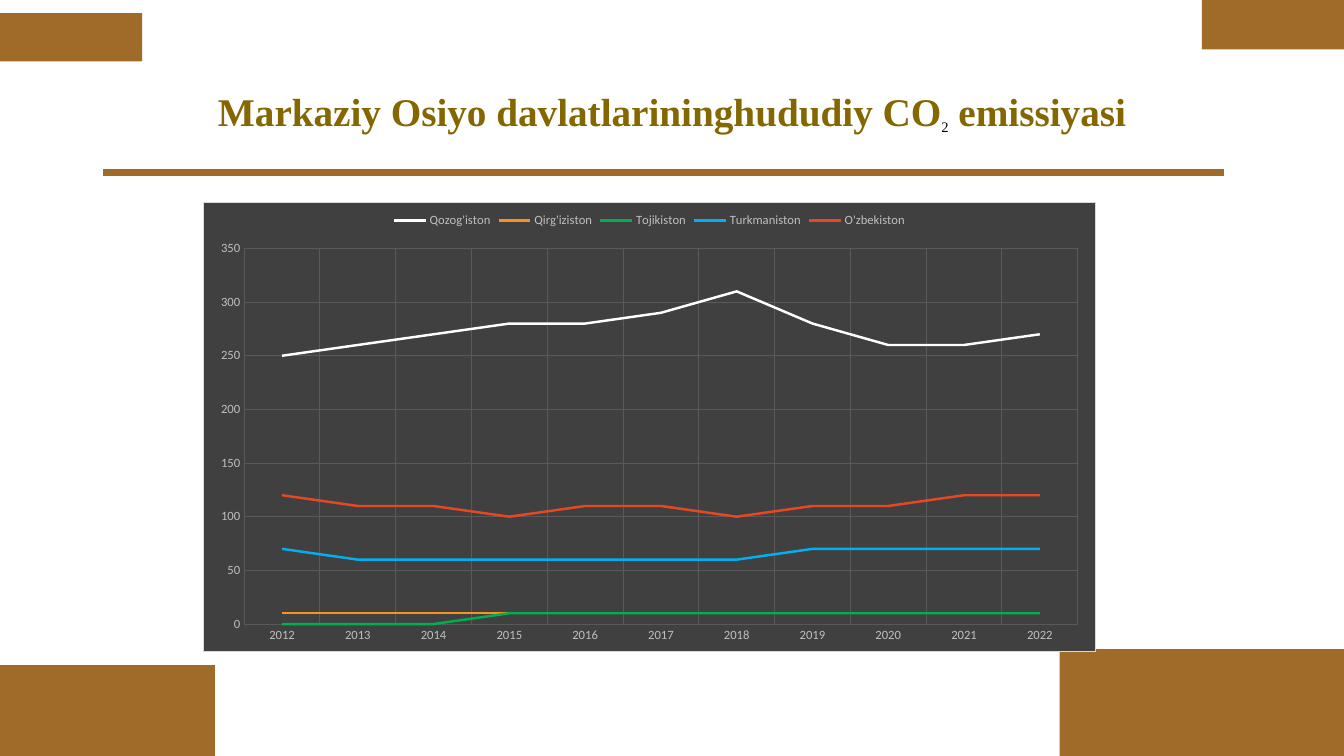
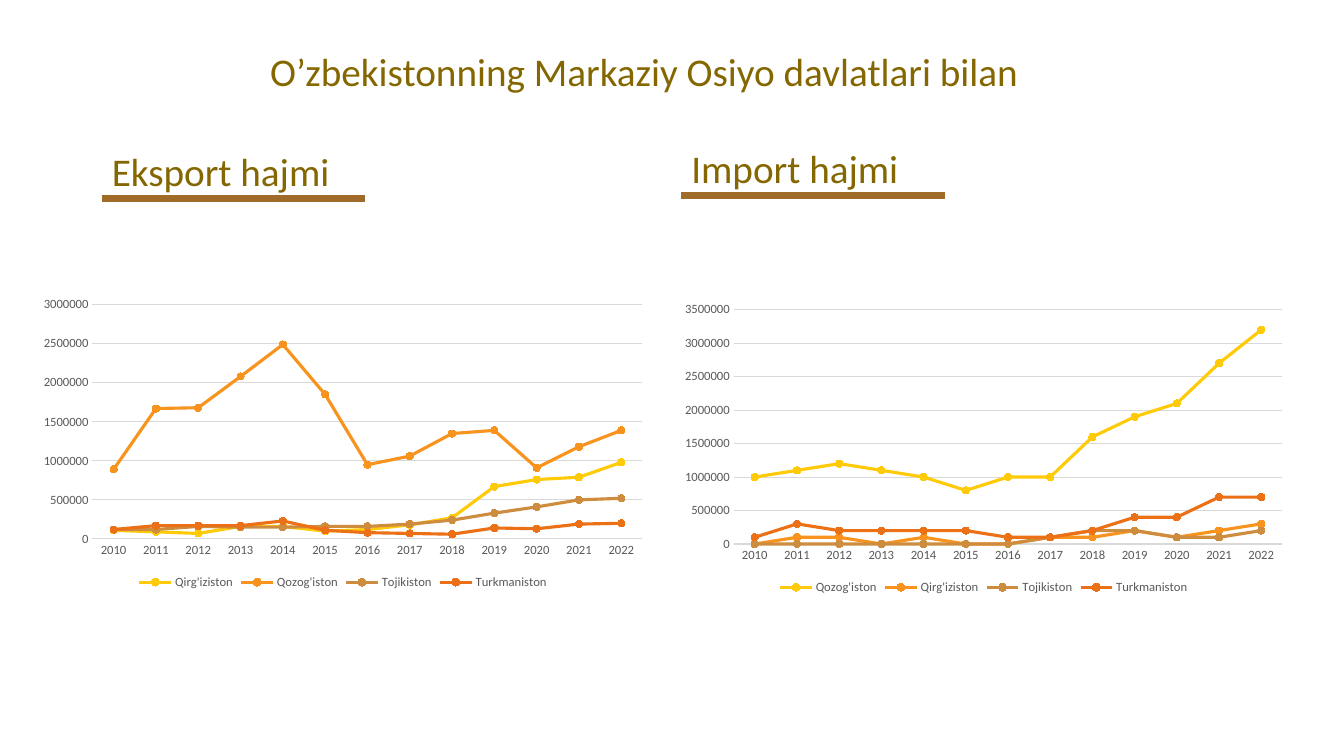
from lxml.etree import SubElement
from pptx import Presentation
from pptx.chart.data import CategoryChartData
from pptx.dml.color import RGBColor
from pptx.enum.chart import XL_CHART_TYPE, XL_LEGEND_POSITION, XL_MARKER_STYLE, XL_TICK_MARK
from pptx.enum.shapes import MSO_CONNECTOR, MSO_SHAPE
from pptx.enum.text import MSO_ANCHOR, PP_ALIGN
from pptx.oxml import parse_xml
from pptx.oxml.ns import nsdecls, qn
from pptx.util import Inches, Pt

WIDTH, HEIGHT = Inches(13.33), Inches(7.5)
BROWN, OLIVE, BLACK = "A06A29", "846700", "000000"
SANS, SERIF = "Calibri", "Times New Roman"

# Chart looks
DARK = {"text": "BFBFBF", "grid": "595959", "axis": None, "fill": "404040",
        "border": "D9D9D9", "legend": XL_LEGEND_POSITION.TOP,
        "kind": XL_CHART_TYPE.LINE, "width": 1.75, "upright_grid": True,
        "series": ["FFFFFF", "F8931D", "00B050", "00B0F0", "E64823"]}
LIGHT = {"text": "595959", "grid": "D9D9D9", "axis": "D9D9D9", "fill": None,
         "border": None, "legend": XL_LEGEND_POSITION.BOTTOM,
         "kind": XL_CHART_TYPE.LINE_MARKERS, "width": 2.25, "upright_grid": False,
         "series": ["FFCA08", "F8931D", "CE8D3E", "EC7016"]}

# Chart data: emissions in units, trade in thousands
EMISSIONS = {
    "Qozog'iston": [250, 260, 270, 280, 280, 290, 310, 280, 260, 260, 270],
    "Qirg'iziston": [10] * 11,
    "Tojikiston": [0] * 3 + [10] * 8,
    "Turkmaniston": [70, 60, 60, 60, 60, 60, 60, 70, 70, 70, 70],
    "O'zbekiston": [120, 110, 110, 100, 110, 110, 100, 110, 110, 120, 120],
}
EXPORTS = {
    "Qirg'iziston": [110, 90, 70, 160, 160, 100, 120, 180, 270, 670, 760, 790, 980],
    "Qozog'iston": [890, 1670, 1680, 2080, 2490, 1850, 950, 1060, 1350, 1390, 910,
                    1180, 1390],
    "Tojikiston": [120, 120, 160, 150, 150, 160, 160, 190, 240, 330, 410, 500, 520],
    "Turkmaniston": [120, 170, 170, 170, 230, 110, 80, 70, 60, 140, 130, 190, 200],
}
IMPORTS = {
    "Qozog'iston": [1000, 1100, 1200, 1100, 1000, 800, 1000, 1000, 1600, 1900, 2100,
                    2700, 3200],
    "Qirg'iziston": [0, 100, 100, 0, 100, 0, 0, 100, 100, 200, 100, 200, 300],
    "Tojikiston": [0, 0, 0, 0, 0, 0, 0, 100, 200, 200, 100, 100, 200],
    "Turkmaniston": [100, 300, 200, 200, 200, 200, 100, 100, 200, 400, 400, 700, 700],
}


def colour(value):
    return RGBColor.from_string(value)


def across(percent):
    return round(WIDTH * percent / 100)


def down(percent):
    return round(HEIGHT * percent / 100)


def area(left, top, width, height):
    """Turn percentages of the slide into a position and a size."""
    return across(left), down(top), across(width), down(height)


def apply(target, formats):
    for name, value in formats.items():
        setattr(target, name, value)


def style_font(font, size, shade, name=SANS, bold=False):
    apply(font, {"size": Pt(size), "name": name, "bold": bold})
    font.color.rgb = colour(shade)


def style_line(line, shade, width=0.75):
    if shade is None:
        line.fill.background()
    else:
        line.width = Pt(width)
        line.color.rgb = colour(shade)


# Slide elements
def add_block(slide, box):
    shape = slide.shapes.add_shape(MSO_SHAPE.RECTANGLE, *area(*box))
    shape.shadow.inherit = False
    shape.fill.solid()
    shape.fill.fore_color.rgb = colour(BROWN)
    shape.line.fill.background()


def add_rule(slide, left, top, width):
    start, end, level = across(left), across(left + width), down(top)
    rule = slide.shapes.add_connector(MSO_CONNECTOR.STRAIGHT, start, level, end, level)
    style_line(rule.line, BROWN, 5)
    SubElement(rule.line._get_or_add_ln().getparent(), qn("a:effectLst"))


def add_text(slide, box, runs, frame_format=None, paragraph_format=None):
    """Each run is its text, a dict of font values and a baseline shift."""
    frame = slide.shapes.add_textbox(*area(*box)).text_frame
    apply(frame, {"word_wrap": True} | (frame_format or {}))
    paragraph = frame.paragraphs[0]
    apply(paragraph, paragraph_format or {})
    for text, font, baseline in runs:
        run = paragraph.add_run()
        run.text = text
        style_font(run.font, **font)
        if baseline:
            run.font._element.set("baseline", str(baseline * 1000))


def add_heading(slide, box, text):
    add_text(slide, box, [(text, {"size": 28, "shade": OLIVE}, 0)])


def add_section(slide, left, top, text):
    add_heading(slide, (left, top, 19.58, 7.6), text)
    add_rule(slide, left, top + 7.5, 19.58)


# Charts
def paint_chart_area(chart, look):
    def solid(shade):
        if shade is None:
            return "<a:noFill/>"
        return f'<a:solidFill><a:srgbClr val="{shade}"/></a:solidFill>'

    properties = parse_xml(
        f'<c:spPr {nsdecls("c", "a")}>{solid(look["fill"])}'
        f'<a:ln w="{Pt(0.75)}">{solid(look["border"])}</a:ln></c:spPr>')
    chart._chartSpace.find(qn("c:chart")).addnext(properties)


def style_axis(axis, look, gridlines, line):
    apply(axis, {"major_tick_mark": XL_TICK_MARK.NONE,
                 "minor_tick_mark": XL_TICK_MARK.NONE,
                 "has_major_gridlines": gridlines})
    style_font(axis.tick_labels.font, 9, look["text"])
    style_line(axis.format.line, line)
    if gridlines:
        style_line(axis.major_gridlines.format.line, look["grid"])


def style_series(series, shade, look):
    series.smooth = False
    style_line(series.format.line, shade, look["width"])
    if look["kind"] == XL_CHART_TYPE.LINE_MARKERS:
        marker = series.marker
        apply(marker, {"style": XL_MARKER_STYLE.CIRCLE, "size": 5})
        marker.format.fill.solid()
        marker.format.fill.fore_color.rgb = colour(shade)
        style_line(marker.format.line, shade)


def add_line_chart(slide, box, first_year, table, look, top_value, step, unit=1):
    data = CategoryChartData()
    data.categories = [str(year) for year in range(first_year, 2023)]
    for name, values in table.items():
        data.add_series(name, [value * unit for value in values])
    chart = slide.shapes.add_chart(look["kind"], *area(*box), data).chart
    paint_chart_area(chart, look)
    style_font(chart.font, 10, BLACK)
    apply(chart, {"has_title": False, "has_legend": True})
    apply(chart.legend, {"position": look["legend"], "include_in_layout": False})
    style_font(chart.legend.font, 9, look["text"])
    style_axis(chart.category_axis, look, look["upright_grid"], look["axis"])
    style_axis(chart.value_axis, look, True, None)
    apply(chart.value_axis, {"minimum_scale": 0, "maximum_scale": top_value,
                             "major_unit": step})
    chart.plots[0].vary_by_categories = False
    for series, shade in zip(chart.plots[0].series, look["series"]):
        style_series(series, shade, look)


# Slides
def build_emissions(slide):
    title = {"size": 28, "shade": OLIVE, "name": SERIF, "bold": True}
    index = {"size": 18, "shade": BLACK, "name": SERIF}
    add_text(slide, (6.9, 5.33, 86.2, 19.33),
             [("Markaziy Osiyo davlatlarininghududiy CO", title, 0),
              ("2", index, -25),
              (" emissiyasi", title, 0)],
             {"vertical_anchor": MSO_ANCHOR.MIDDLE},
             {"alignment": PP_ALIGN.CENTER, "line_spacing": 0.9})
    add_rule(slide, 7.7, 22.8, 83.4)
    for box in [(78.85, 85.87, 21.15, 14.13), (89.42, 0, 10.58, 6.53),
                (0, 88, 15.98, 12), (0, 1.73, 10.58, 6.4)]:
        add_block(slide, box)
    add_line_chart(slide, (15.08, 26.67, 66.47, 59.6), 2012, EMISSIONS, DARK, 350, 50)


def build_trade(slide):
    for box, table, top_value in [((2.33, 38.53, 46.4, 40), EXPORTS, 3000000),
                                  ((50.04, 39.2, 46.3, 40), IMPORTS, 3500000)]:
        add_line_chart(slide, box, 2010, table, LIGHT, top_value, 500000, unit=1000)
    add_heading(slide, (19.35, 5.6, 58.8, 7.6),
                "O’zbekistonning Markaziy Osiyo davlatlari bilan")
    add_section(slide, 7.58, 18.8, "Eksport hajmi")
    add_section(slide, 50.7, 18.4, "Import hajmi")


def main():
    presentation = Presentation()
    apply(presentation, {"slide_width": WIDTH, "slide_height": HEIGHT})
    for build in (build_emissions, build_trade):
        build(presentation.slides.add_slide(presentation.slide_layouts[6]))
    presentation.save("out.pptx")


if __name__ == "__main__":
    main()
